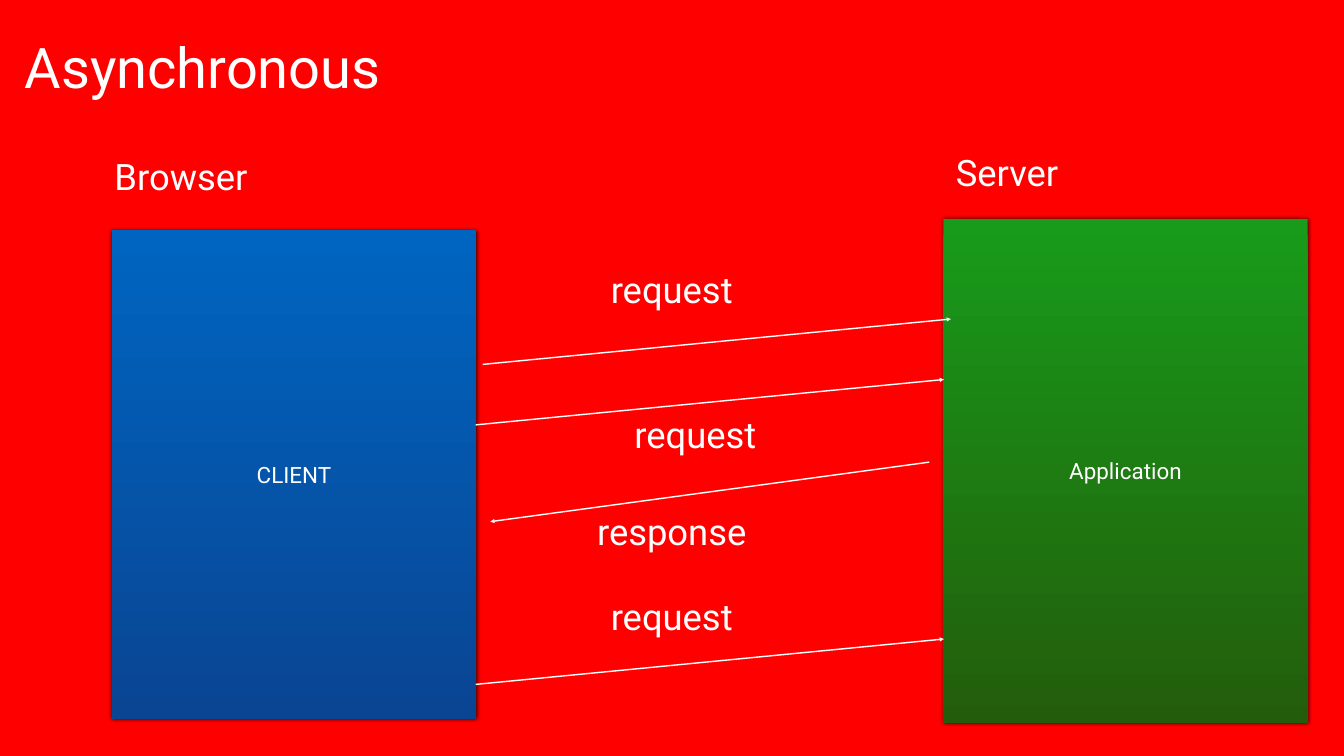
from dataclasses import dataclass

from lxml.etree import SubElement
from pptx import Presentation
from pptx.dml.color import RGBColor
from pptx.enum.shapes import MSO_CONNECTOR, MSO_SHAPE
from pptx.enum.text import MSO_ANCHOR, MSO_AUTO_SIZE, PP_ALIGN
from pptx.oxml.ns import qn
from pptx.util import Inches, Pt


@dataclass(frozen=True)
class Theme:
    """Colours, type sizes and spacing of the slide."""
    font: str = "Roboto"
    background: str = "FF0000"
    ink: str = "FFFFFF"
    shadow: str = "000000"
    client: tuple = ("0065C1", "094593")
    server: tuple = ("189B1A", "235D0B")
    title: int = 80
    label: int = 52
    body: int = 32
    line: int = 2
    shadow_blur: int = 6
    inset: float = 0.06


class SlideBuilder:
    """Draws elements placed in percent of the slide's width and height."""

    def __init__(self, deck, theme):
        """Add a blank page with the theme's background."""
        self.deck, self.theme = deck, theme
        self.page = deck.slides.add_slide(deck.slide_layouts[6])
        fill = self.page.background.fill
        fill.solid()
        fill.fore_color.rgb = RGBColor.from_string(theme.background)

    def place(self, *shares):
        """Turn alternating horizontal and vertical percentages into lengths."""
        sides = (self.deck.slide_width, self.deck.slide_height)
        return [round(sides[i % 2] * share / 100) for i, share in enumerate(shares)]

    def set_text(self, box, text, size, **extra):
        """Put one centred paragraph in a box."""
        inset = Inches(self.theme.inset)
        frame_format = {
            "margin_left": inset, "margin_right": inset,
            "margin_top": inset, "margin_bottom": inset,
            "vertical_anchor": MSO_ANCHOR.MIDDLE, **extra,
        }
        for name, value in frame_format.items():
            setattr(box.text_frame, name, value)
        para = box.text_frame.paragraphs[0]
        para.alignment = PP_ALIGN.CENTER
        span = para.add_run()
        span.text = text
        for name, value in {"name": self.theme.font, "size": Pt(size)}.items():
            setattr(span.font, name, value)
        span.font.color.rgb = RGBColor.from_string(self.theme.ink)

    def label(self, text, size, *area):
        """Add a one-line text box."""
        box = self.page.shapes.add_textbox(*self.place(*area))
        self.set_text(box, text, size, word_wrap=False,
                      auto_size=MSO_AUTO_SIZE.SHAPE_TO_FIT_TEXT)

    def panel(self, text, colours, *area):
        """Add a shadowed rectangle with a top-to-bottom gradient."""
        box = self.page.shapes.add_shape(MSO_SHAPE.RECTANGLE, *self.place(*area))
        box.fill.gradient()
        box.fill.gradient_angle = 270
        for stop, colour in zip(box.fill.gradient_stops, colours):
            stop.color.rgb = RGBColor.from_string(colour)
        box.line.fill.background()
        box.shadow.inherit = False
        effects = box._element.spPr.find(qn("a:effectLst"))
        shadow = SubElement(effects, qn("a:outerShdw"), dist="0", dir="18900000",
                            blurRad=str(Pt(self.theme.shadow_blur)), rotWithShape="0")
        colour = SubElement(shadow, qn("a:srgbClr"), val=self.theme.shadow)
        SubElement(colour, qn("a:alpha"), val="80000")
        self.set_text(box, text, self.theme.body, word_wrap=True)

    def arrow(self, *ends):
        """Add a straight arrow from the first point to the second."""
        arrow = self.page.shapes.add_connector(MSO_CONNECTOR.STRAIGHT, *self.place(*ends))
        arrow.line.width = Pt(self.theme.line)
        arrow.line.color.rgb = RGBColor.from_string(self.theme.ink)
        properties = arrow._element.spPr
        SubElement(properties.find(qn("a:ln")), qn("a:tailEnd"), type="triangle")
        SubElement(properties, qn("a:effectLst"))


def main():
    """Build the asynchronous request slide."""
    deck = Presentation()
    deck.slide_width, deck.slide_height = Inches(26.67), Inches(15)
    theme = Theme()
    slide = SlideBuilder(deck, theme)

    slide.label("Asynchronous", theme.title, 1.57, 4, 27.03, 9.6)
    panel_width = 27.11
    slide.panel("CLIENT", theme.client, 8.32, 30.47, panel_width, 64.6)
    slide.panel("Application", theme.server, 70.19, 28.93, panel_width, 66.67)

    label_height, request_width = 6.47, 9.6
    for text, left, top, width in (
        ("Browser", 8.29, 20.07, 10.35),
        ("Server", 70.79, 19.47, 8.29),
        ("request", 45.18, 35, request_width),
        ("request", 46.94, 54.13, request_width),
        ("response", 44.13, 67, 11.7),
        ("request", 45.18, 78.27, request_width),
    ):
        slide.label(text, theme.label, left, top, width, label_height)

    request_run, request_rise = 34.83, 6
    for left, bottom in ((35.92, 48.2), (35.4, 56.2), (35.4, 90.53)):
        slide.arrow(left, bottom, left + request_run, bottom - request_rise)
    slide.arrow(69.14, 61.13, 36.48, 69)

    deck.save("out.pptx")


if __name__ == "__main__":
    main()
